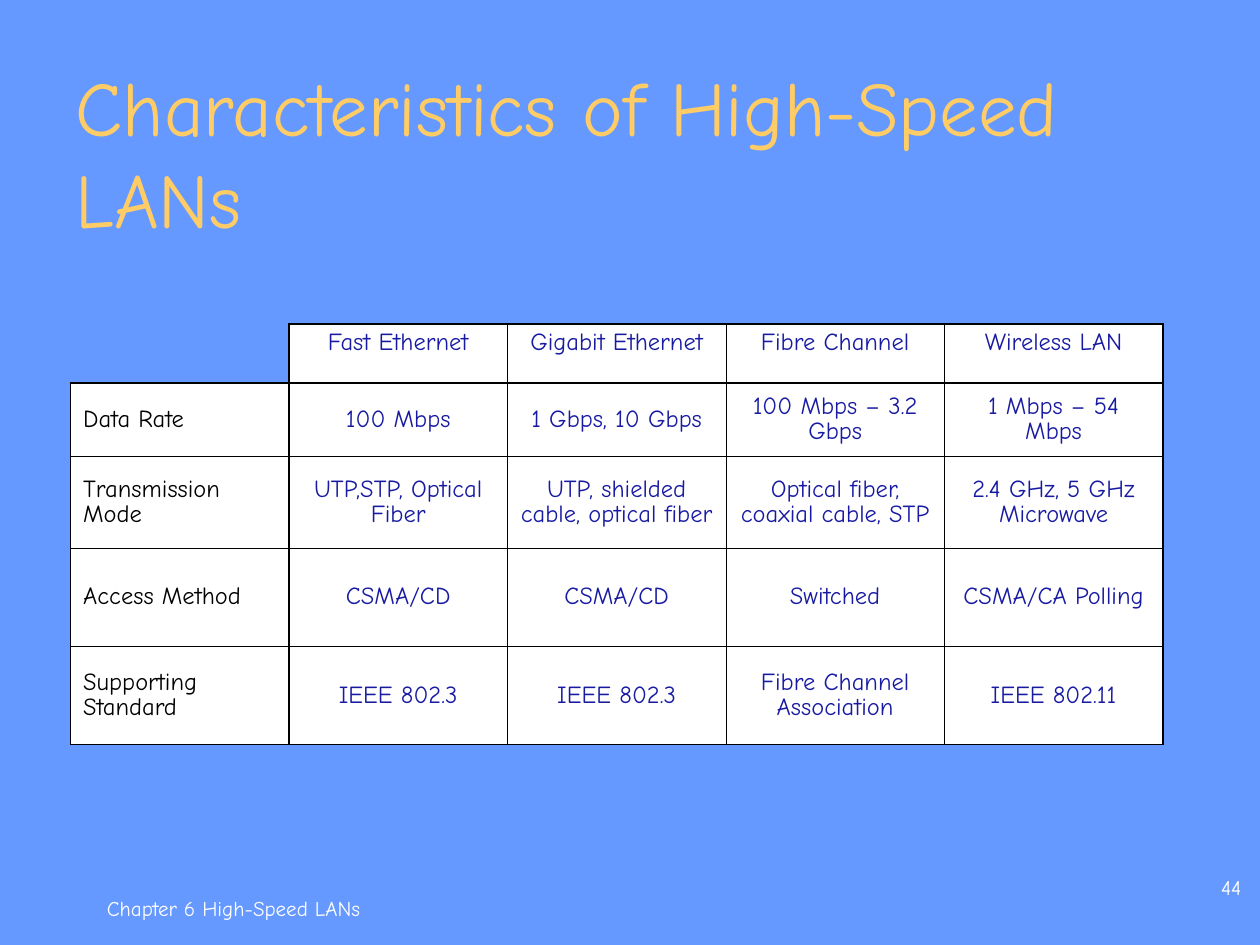
from lxml import etree
from pptx import Presentation
from pptx import util as u
from pptx.dml.color import RGBColor
from pptx.enum import text
from pptx.oxml import ns

SKY = RGBColor(0x66, 0x99, 0xFF)
GOLD = RGBColor(0xFF, 0xCC, 0x66)
NAVY = RGBColor(0x18, 0x1B, 0xA2)
WHITE = RGBColor(0xFF, 0xFF, 0xFF)
BLACK = RGBColor(0, 0, 0)

THIN, THICK = 0.45, 1.08
ROW_HEIGHTS = [0.47, 0.58, 0.73, 0.78, 0.78]
LANS = [
    ["", "Fast Ethernet", "Gigabit Ethernet", "Fibre Channel", "Wireless LAN"],
    ["Data Rate", "100 Mbps", "1 Gbps, 10 Gbps", "100 Mbps – 3.2 Gbps", "1 Mbps – 54 Mbps"],
    ["Transmission Mode", "UTP,STP, Optical Fiber", "UTP, shielded cable, optical fiber",
     "Optical fiber, coaxial cable, STP", "2.4 GHz, 5 GHz Microwave"],
    ["Access Method", "CSMA/CD", "CSMA/CD", "Switched", "CSMA/CA Polling"],
    ["Supporting Standard", "IEEE 802.3", "IEEE 802.3", "Fibre Channel Association", "IEEE 802.11"],
]


class LanSlide:
    """Holds the style and the current slide, with lengths as shares of the slide's size."""

    font = "Comic Neue"

    def __init__(self, presentation):
        self.width, self.height = presentation.slide_width, presentation.slide_height
        self.slide = presentation.slides.add_slide(presentation.slide_layouts[5])
        self.slide.background.fill.solid()
        self.slide.background.fill.fore_color.rgb = SKY

    def box(self, left, top, width, height):
        return (round(left * self.width), round(top * self.height),
                round(width * self.width), round(height * self.height))

    def set_text(self, frame, words, size, color, align=text.PP_ALIGN.LEFT):
        frame.word_wrap = True
        paragraph = frame.paragraphs[0]
        if words:
            paragraph.text = words
        paragraph.alignment = align
        paragraph.font.name = self.font
        paragraph.font.size = u.Pt(size)
        paragraph.font.color.rgb = color
        return paragraph

    def title(self, words, *place):
        shape = self.slide.shapes.title
        shape.left, shape.top, shape.width, shape.height = self.box(*place)
        frame = shape.text_frame
        frame.auto_size = text.MSO_AUTO_SIZE.NONE
        frame.vertical_anchor = text.MSO_ANCHOR.MIDDLE
        self.set_text(frame, words, 44, GOLD)

    def label(self, words, *place, anchor=text.MSO_ANCHOR.MIDDLE,
              align=text.PP_ALIGN.LEFT, inset=0.05):
        frame = self.slide.shapes.add_textbox(*self.box(*place)).text_frame
        frame.vertical_anchor = anchor
        frame.margin_top = frame.margin_bottom = u.Inches(inset)
        self.set_text(frame, words, 12, WHITE, align)

    def border(self, cell, side, points):
        properties = cell._tc.get_or_add_tcPr()
        line = etree.SubElement(properties, ns.qn(f"a:ln{side}"))
        if not points:
            etree.SubElement(line, ns.qn("a:noFill"))
            return
        line.set("w", str(u.Pt(points)))
        fill = etree.SubElement(line, ns.qn("a:solidFill"))
        etree.SubElement(fill, ns.qn("a:srgbClr"), val=str(BLACK))

    def table(self, rows, heights, *place):
        count = len(rows[0])
        table = self.slide.shapes.add_table(len(rows), count, *self.box(*place)).table
        table.first_row = table.horz_banding = False
        for row, height in zip(table.rows, heights):
            row.height = u.Inches(height)
        for r, row in enumerate(rows):
            for c, words in enumerate(row):
                self.cell(table.cell(r, c), words, r, c, len(rows), count)

    def cell(self, cell, words, r, c, row_count, column_count):
        edges = {"L": (c, column_count), "R": (c + 1, column_count),
                 "T": (r, row_count), "B": (r + 1, row_count)}
        for side, (line, last) in edges.items():
            points = THICK if line in (0, 1, last) else THIN
            self.border(cell, side, points if words or line else 0)
        if words:
            cell.fill.solid()
            cell.fill.fore_color.rgb = WHITE
        else:
            cell.fill.background()
        cell.vertical_anchor = text.MSO_ANCHOR.MIDDLE if r else text.MSO_ANCHOR.TOP
        color, align = (NAVY, text.PP_ALIGN.CENTER) if c else (BLACK, text.PP_ALIGN.LEFT)
        self.set_text(cell.text_frame, words, 14, color, align).line_spacing = 0.9


def main():
    presentation = Presentation()
    presentation.slide_width, presentation.slide_height = u.Inches(10), u.Inches(7.5)
    page = LanSlide(presentation)
    page.title("Characteristics of High-Speed LANs", 0.05, 0.58 / 7.5, 0.884, 1.25 / 7.5)
    page.table(LANS, ROW_HEIGHTS, 0.056, 2.57 / 7.5, 0.867, sum(ROW_HEIGHTS) / 7.5)
    page.label("Chapter 6 High-Speed LANs", 0.075, 6.96 / 7.5, 0.467, 0.5 / 7.5)
    page.label("44", 0.787, 6.72 / 7.5, 0.208, 0.42 / 7.5,
               anchor=text.MSO_ANCHOR.BOTTOM, align=text.PP_ALIGN.RIGHT, inset=0)
    presentation.save("out.pptx")


if __name__ == "__main__":
    main()
